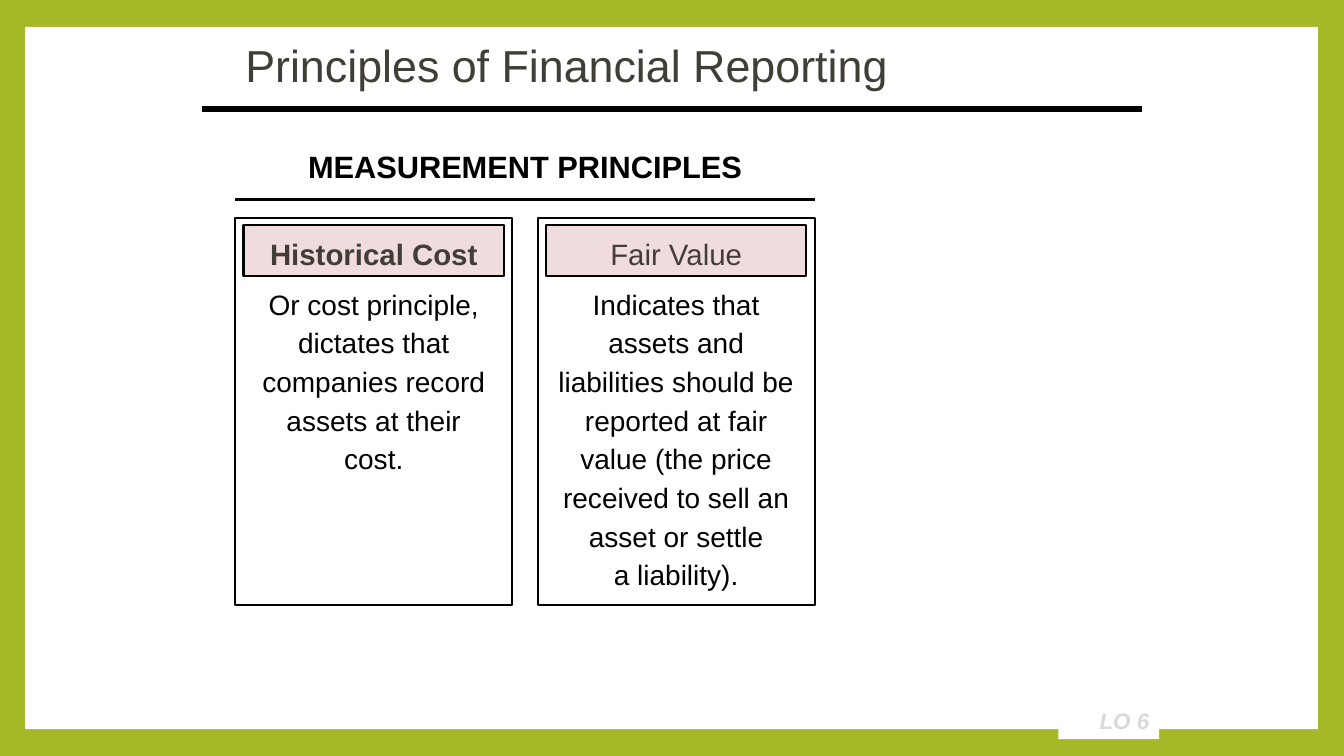
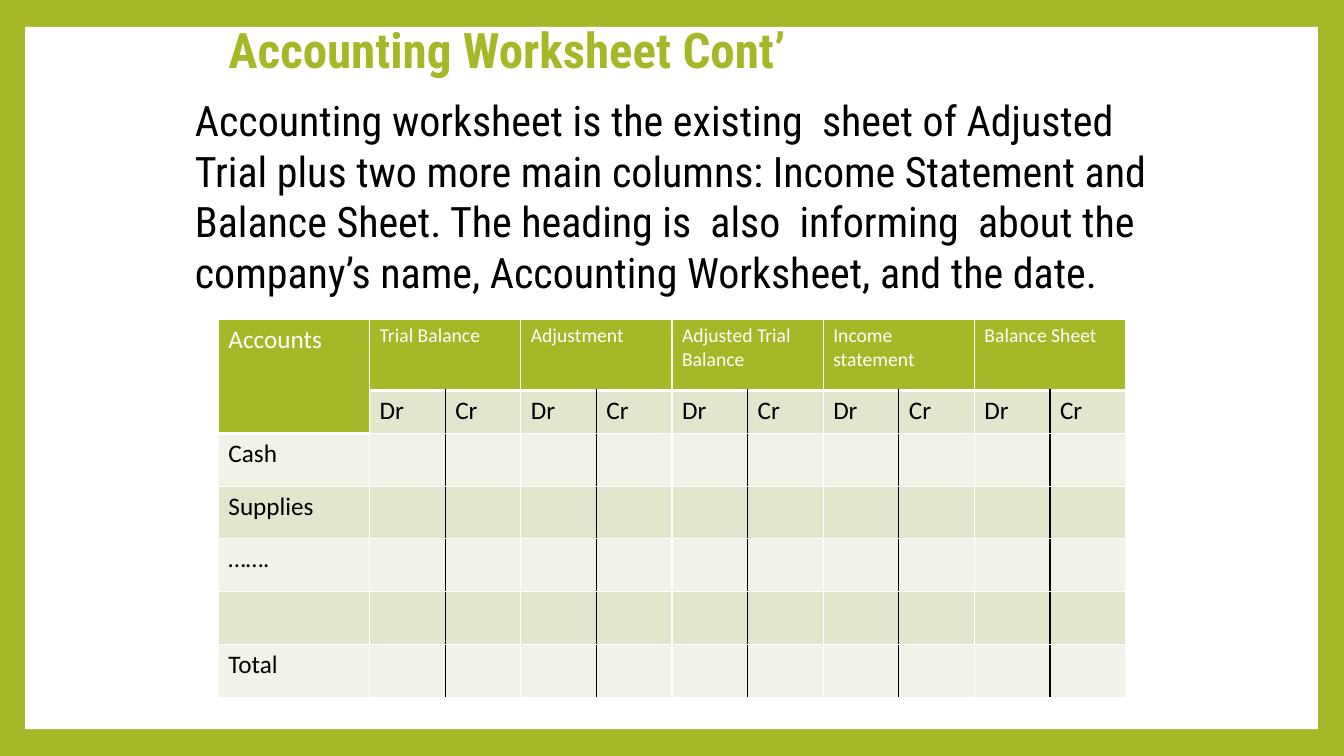
from itertools import product

from lxml.etree import SubElement
from pptx import Presentation
from pptx.dml.color import RGBColor
from pptx.enum.shapes import MSO_CONNECTOR, MSO_SHAPE
from pptx.enum.text import MSO_ANCHOR, MSO_AUTO_SIZE, PP_ALIGN
from pptx.oxml.ns import qn
from pptx.util import Inches, Pt

COLORS = {
    "lime": "A6B727",
    "white": "FFFFFF",
    "black": "000000",
    "rose": "F0DCDC",
    "charcoal": "403E37",
    "silver": "D9D9D9",
    "band_dark": "E1E6CD",
    "band_light": "F1F3E8",
}
COLUMNS, ROWS = 160, 90
UNIT = Inches(1) / 12
TITLE_ONLY, TITLE_AND_BODY = 5, 1


def grid(*lengths):
    """Turn grid columns and rows into slide lengths."""
    return [round(length * UNIT) for length in lengths]


def color(name):
    """Look up a named colour."""
    return RGBColor.from_string(COLORS[name])


class Deck:
    """Hold the presentation style and the current slide."""

    def __init__(self):
        """Set the slide size and the shared background."""
        self.presentation = Presentation()
        self.presentation.slide_width, self.presentation.slide_height = grid(COLUMNS, ROWS)
        self.master = self.presentation.slide_master
        self.master.background.fill.solid()
        self.master.background.fill.fore_color.rgb = color("lime")
        self.slide = None

    def start_slide(self, layout):
        """Add a slide and make it current."""
        self.slide = self.presentation.slides.add_slide(self.presentation.slide_layouts[layout])

    def add_master_panel(self):
        """Put the white page panel behind everything on the master."""
        panel = self.box((3, 3.2, 153.9, 83.6), fill="white")
        panel.element.nvSpPr.cNvPr.set("id", "100")
        self.master.shapes.element.insert(2, panel.element)

    def add_lines(self, frame, lines, size, ink="black", font="Arial", bold=False,
                  italic=False, align=PP_ALIGN.LEFT, spacing=1.0, plain=False):
        """Put paragraphs into a text frame."""
        for index, line in enumerate(lines):
            paragraph = frame.add_paragraph() if index else frame.paragraphs[0]
            if plain:
                properties = paragraph._p.get_or_add_pPr()
                properties.set("marL", "0")
                properties.set("indent", "0")
                SubElement(properties, qn("a:buNone"))
            paragraph.alignment = align
            paragraph.line_spacing = spacing
            paragraph.space_before = Pt(0)
            run = paragraph.add_run()
            run.text = line
            run.font.name = font
            run.font.size = Pt(size)
            run.font.bold = bold
            run.font.italic = italic
            run.font.color.rgb = color(ink)

    def placeholder(self, index, area, lines, size, anchor=MSO_ANCHOR.TOP, **style):
        """Move and fill a template placeholder."""
        shape = self.slide.placeholders[index]
        shape.left, shape.top, shape.width, shape.height = grid(*area)
        shape.text_frame.word_wrap = True
        shape.text_frame.auto_size = MSO_AUTO_SIZE.NONE
        shape.text_frame.vertical_anchor = anchor
        self.add_lines(shape.text_frame, lines, size, **style)

    def title(self, area, text, size, **style):
        """Fill the title placeholder."""
        self.placeholder(0, area, [text], size, anchor=MSO_ANCHOR.MIDDLE, **style)

    def text(self, area, lines, size, **style):
        """Add a wrapped text box."""
        shape = self.slide.shapes.add_textbox(*grid(*area))
        shape.text_frame.word_wrap = True
        self.add_lines(shape.text_frame, lines, size, **style)

    def box(self, area, fill=None, line=None):
        """Add a flat rectangle."""
        shape = self.slide.shapes.add_shape(MSO_SHAPE.RECTANGLE, *grid(*area))
        shape.shadow.inherit = False
        if fill:
            shape.fill.solid()
            shape.fill.fore_color.rgb = color(fill)
        else:
            shape.fill.background()
        if line:
            shape.line.color.rgb = color(line)
            shape.line.width = Pt(1.5)
        else:
            shape.line.fill.background()
        return shape

    def rule(self, left, right, top, weight):
        """Add a horizontal black line."""
        connector = self.slide.shapes.add_connector(
            MSO_CONNECTOR.STRAIGHT, *grid(left, top, right, top))
        connector.line.color.rgb = color("black")
        connector.line.width = Pt(weight)
        SubElement(connector.element.spPr, qn("a:effectLst"))

    def card(self, left, heading, lines, bold):
        """Add a framed card with a tinted heading."""
        label = self.box((left + 1, 26.8, 31, 6.1), fill="rose", line="black")
        self.add_lines(label.text_frame, [heading], 21, ink="charcoal", bold=bold,
                       align=PP_ALIGN.CENTER, spacing=1.15)
        self.text((left + 1, 33, 31, 38), lines, 20, align=PP_ALIGN.CENTER, spacing=1.15)
        self.box((left, 26, 33, 46), line="black")

    def cell(self, cell, text, fill, size, ink, borders):
        """Format one table cell."""
        properties = cell._tc.get_or_add_tcPr()
        for side, (name, weight) in borders.items():
            line = SubElement(properties, qn(f"a:ln{side}"), w=str(Pt(weight)))
            SubElement(SubElement(line, qn("a:solidFill")), qn("a:srgbClr"), val=COLORS[name])
        cell.fill.solid()
        cell.fill.fore_color.rgb = color(fill)
        if text:
            self.add_lines(cell.text_frame, [text], size, ink=ink, font="Calibri")

    def worksheet(self, left, top, groups, accounts):
        """Add a worksheet with a debit and a credit column per group."""
        widths = [18] + [9, 9] * len(groups)
        heights = [8.5, 5.1] + [6.28] * len(accounts)
        table = self.slide.shapes.add_table(
            len(heights), len(widths), *grid(left, top, sum(widths), sum(heights))).table
        table.first_row = table.horz_banding = False
        for column, width in zip(table.columns, grid(*widths)):
            column.width = width
        for row, height in zip(table.rows, grid(*heights)):
            row.height = height
        texts = {(0, 0): "Accounts"}
        texts.update({(row, 0): name for row, name in enumerate(accounts, 2)})
        table.cell(0, 0).merge(table.cell(1, 0))
        for index, group in enumerate(groups):
            debit = 2 * index + 1
            texts.update({(0, debit): group, (1, debit): "Dr", (1, debit + 1): "Cr"})
            table.cell(0, debit).merge(table.cell(0, debit + 1))
        for row, column in product(range(len(heights)), range(len(widths))):
            header = row == 0 or (row == 1 and column == 0)
            borders = {side: ("white", 1) for side in "LRTB"}
            if header:
                borders["B"] = ("white", 3)
            elif column:
                borders["R" if column % 2 else "L"] = ("black", 1)
            band = "band_dark" if row % 2 else "band_light"
            self.cell(table.cell(row, column), texts.get((row, column)),
                      "lime" if header else band, 14 if row == 0 and column else 18,
                      "white" if header else "black", borders)


def main():
    """Build and save both slides."""
    deck = Deck()

    deck.start_slide(TITLE_ONLY)
    deck.add_master_panel()
    deck.title((28, 4, 108, 7.3), "Principles of Financial Reporting", 32, ink="charcoal")
    deck.rule(24, 136, 13, 4.5)
    deck.text((34, 17, 57, 5.6), ["MEASUREMENT PRINCIPLES"], 22, bold=True,
              align=PP_ALIGN.CENTER)
    deck.rule(28, 97, 23.8, 2.25)
    deck.card(28, "Historical Cost", [
        "Or cost principle, dictates that companies record assets at their cost."], True)
    deck.card(64, "Fair Value", [
        "Indicates that assets and liabilities should be reported at fair value "
        "(the price received to sell an asset or settle",
        "a liability)."], False)
    objective = deck.box((126, 83.6, 12, 4.4), fill="white")
    deck.add_lines(objective.text_frame, ["LO 6"], 16, ink="silver", bold=True, italic=True,
                   align=PP_ALIGN.RIGHT)

    deck.start_slide(TITLE_AND_BODY)
    deck.title((26, 3.6, 108, 5.4), "Accounting Worksheet Cont’", 35, ink="lime",
               font="Roboto Condensed", bold=True, spacing=0.9)
    deck.placeholder(1, (22, 10.7, 116, 25.4), [
        "Accounting worksheet is the existing  sheet of Adjusted Trial plus two more main "
        "columns: Income Statement and Balance Sheet. The heading is  also  informing  about "
        "the company’s name, Accounting Worksheet, and the date."],
        30, font="Roboto Condensed", plain=True)
    deck.worksheet(26, 38, [
        "Trial Balance", "Adjustment", "Adjusted Trial Balance", "Income statement",
        "Balance Sheet"], ["Cash", "Supplies", "…….", "", "Total"])

    deck.presentation.save("out.pptx")


if __name__ == "__main__":
    main()
